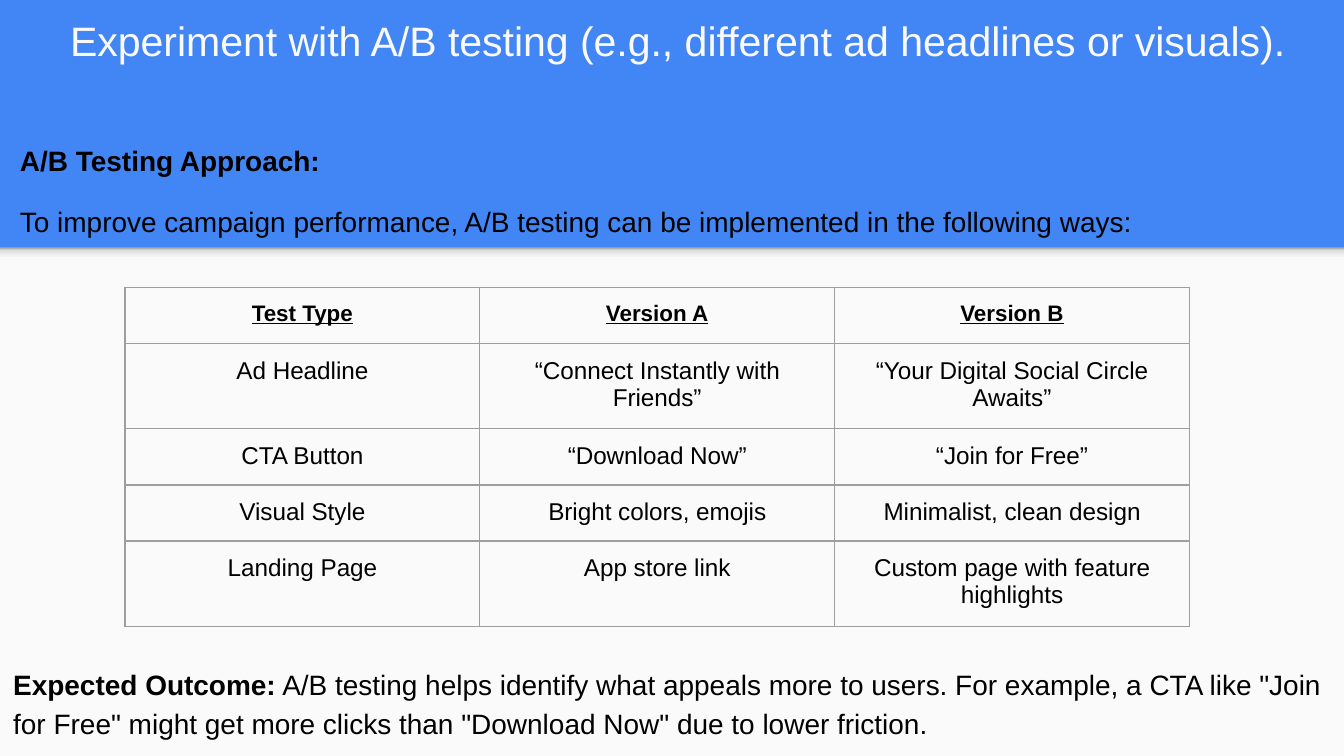
from copy import deepcopy

from lxml.etree import SubElement
from pptx import Presentation
from pptx.dml.color import RGBColor
from pptx.enum.shapes import MSO_SHAPE
from pptx.enum.text import MSO_ANCHOR, MSO_AUTO_SIZE, PP_ALIGN
from pptx.oxml.ns import qn
from pptx.util import Inches, Pt

COLORS = {"blue": "4285F4", "paper": "FAFAFA", "ink": "000000", "border": "9E9E9E"}
SHADE = [(0, "F9F9F9"), (0.36, "F9F9F9"), (0.8, "DEDEDE"), (1, "999999")]
INSETS = {f"margin_{side}": Inches(0.1) for side in ("left", "top", "right", "bottom")}
FRAME = {"word_wrap": True, "auto_size": MSO_AUTO_SIZE.NONE, **INSETS}
HEADER = {"size": Pt(12), "bold": True, "underline": True}
BODY = {"size": Pt(13), "bold": False, "underline": False}
STRONG = {"size": Pt(15), "bold": True}
PLAIN = {"size": Pt(15), "bold": False}
ROWS = [
    ("Test Type", "Version A", "Version B"),
    ("Ad Headline", "“Connect Instantly with Friends”", "“Your Digital Social Circle Awaits”"),
    ("CTA Button", "“Download Now”", "“Join for Free”"),
    ("Visual Style", "Bright colors, emojis", "Minimalist, clean design"),
    ("Landing Page", "App store link", "Custom page with feature highlights"),
]


def set_attrs(obj, values):
    """Set every attribute named in a dict."""
    for name, value in values.items():
        setattr(obj, name, value)


def add_run(p, text, font, color="ink"):
    """Append a formatted Arial run to a paragraph."""
    r = p.add_run()
    r.text = text
    set_attrs(r.font, {"name": "Arial", **font})
    r.font.color.rgb = RGBColor.from_string(COLORS[color])


def add_band(s, top, height):
    """Add a full-width rectangle without line or shadow."""
    sp = s.shapes.add_shape(MSO_SHAPE.RECTANGLE, 0, Inches(top), Inches(10), Inches(height))
    sp.shadow.inherit = False
    sp.line.fill.background()
    return sp


def shade(sp):
    """Fill a band with the soft gradient that is darkest at its top."""
    fill = sp.fill
    fill.gradient()
    fill.gradient_angle = 90
    stops = sp._element.spPr.find(qn("a:gradFill")).find(qn("a:gsLst"))
    for _ in range(len(SHADE) - len(stops)):
        stops.append(deepcopy(stops[0]))
    for stop, (position, color) in zip(fill.gradient_stops, SHADE):
        stop.position = position
        stop.color.rgb = RGBColor.from_string(color)


def set_title(s, text):
    """Place and format the title placeholder."""
    sp = s.shapes.title
    set_attrs(sp, {"left": 0, "top": Inches(-0.26), "width": Inches(10.09), "height": Inches(0.84)})
    tf = sp.text_frame
    set_attrs(tf, {**FRAME, "vertical_anchor": MSO_ANCHOR.BOTTOM})
    p = tf.paragraphs[0]
    set_attrs(p, {"alignment": PP_ALIGN.CENTER, "space_before": Pt(1.7)})
    add_run(p, text, {"size": Pt(22)}, "paper")


def add_text(s, box, paragraphs):
    """Add a text box from (paragraph format, runs) pairs."""
    tf = s.shapes.add_textbox(*map(Inches, box)).text_frame
    set_attrs(tf, {**FRAME, "auto_size": MSO_AUTO_SIZE.SHAPE_TO_FIT_TEXT})
    for i, (layout, runs) in enumerate(paragraphs):
        p = tf.add_paragraph() if i else tf.paragraphs[0]
        set_attrs(p, {"line_spacing": 1.15, **layout})
        for text, font in runs:
            add_run(p, text, font)


def add_borders(cell):
    """Draw a thin grey line on each side of a cell."""
    tc_pr = cell._tc.get_or_add_tcPr()
    for i, side in enumerate(("lnL", "lnR", "lnT", "lnB")):
        ln = SubElement(tc_pr, qn(f"a:{side}"), w=str(Pt(0.75)))
        SubElement(SubElement(ln, qn("a:solidFill")), qn("a:srgbClr"), val=COLORS["border"])
        tc_pr.insert(i, ln)


def add_test_table(s):
    """Add the table that compares both versions of each test."""
    row_height, col_width = Inches(5) // 12, Inches(2.64)
    table = s.shapes.add_table(len(ROWS), 3, Inches(0.93), Inches(2.14),
                               3 * col_width, len(ROWS) * row_height).table
    set_attrs(table, {"first_row": False, "horz_banding": False})
    for i, row in enumerate(ROWS):
        for j, text in enumerate(row):
            cell = table.cell(i, j)
            set_attrs(cell, INSETS)
            cell.fill.background()
            add_borders(cell)
            p = cell.text_frame.paragraphs[0]
            p.alignment = PP_ALIGN.CENTER
            add_run(p, text, BODY if i else HEADER)


def main():
    """Build and save the slide."""
    prs = Presentation()
    set_attrs(prs, {"slide_width": Inches(10), "slide_height": Inches(10) * 9 // 16})
    s = prs.slides.add_slide(prs.slide_layouts[5])
    s.background.fill.solid()
    s.background.fill.fore_color.rgb = RGBColor.from_string(COLORS["blue"])
    panel = add_band(s, 1.84, 3.79)
    panel.fill.solid()
    panel.fill.fore_color.rgb = RGBColor.from_string(COLORS["paper"])
    shade(add_band(s, 1.84, 0.12))
    set_title(s, "Experiment with A/B testing (e.g., different ad headlines or visuals).")
    add_text(s, (0.05, 0.93, 10, 0.91), [
        ({"space_before": Pt(12)}, [("A/B Testing Approach:", STRONG)]),
        ({"space_before": Pt(12), "space_after": Pt(12)},
         [("To improve campaign performance, A/B testing can be implemented "
           "in the following ways:", PLAIN)]),
    ])
    add_test_table(s)
    add_text(s, (0, 4.83, 10, 0.74), [
        ({}, [("Expected Outcome:", STRONG),
              (" A/B testing helps identify what appeals more to users. For example, a CTA like "
               '"Join for Free" might get more clicks than "Download Now" due to lower friction.',
               PLAIN)]),
    ])
    prs.save("out.pptx")


if __name__ == "__main__":
    main()
